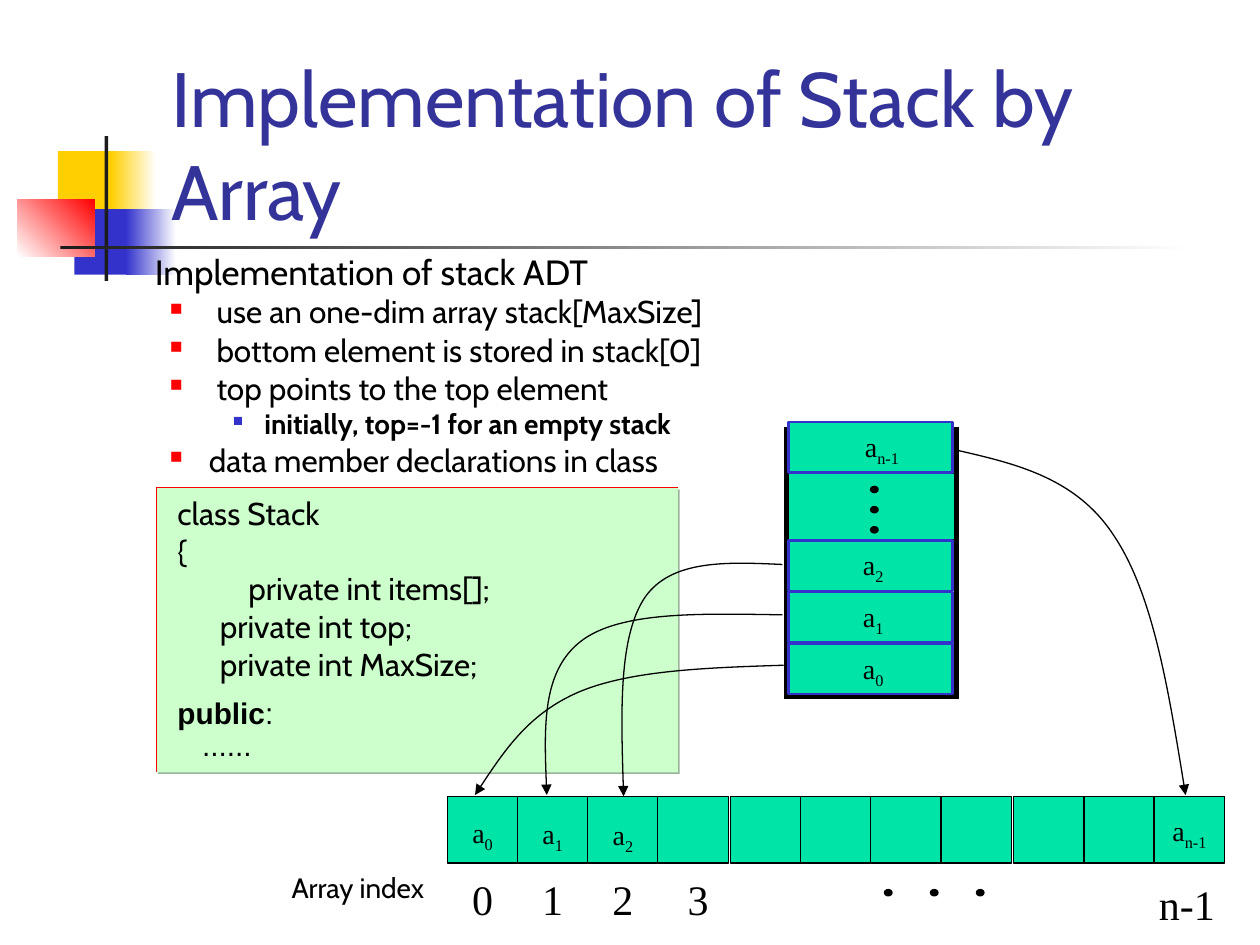
import dataclasses

import pptx
import pptx.dml.color
import pptx.enum.shapes
import pptx.enum.text
import pptx.oxml
import pptx.oxml.ns
import pptx.util
from lxml import etree
from pptx.util import Inches

ALIGN = pptx.enum.text.PP_ALIGN
SHAPE = pptx.enum.shapes.MSO_SHAPE
qn = pptx.oxml.ns.qn


@dataclasses.dataclass(frozen=True)
class Theme:
    sans: str = "Cabin"
    serif: str = "Times New Roman"
    code: str = "Arial"
    title: str = "333399"
    black: str = "000000"
    dark: str = "1C1C1C"
    white: str = "FFFFFF"
    yellow: str = "FFCF01"
    blue: str = "3333CC"
    red: str = "FF0000"
    cell: str = "00E4A8"
    panel: str = "CCFFCC"
    panel_shadow: str = "7A997A"
    title_size: int = 44
    index_size: int = 24
    heading_size: int = 20
    body_size: int = 18
    code_size: int = 17
    label_size: int = 16


THEME = Theme()


def rgb(value):
    return pptx.dml.color.RGBColor.from_string(value)


# Shared drawing helpers
def add_block(slide, left, top, width, height, fill, line=None, weight=0.75,
              kind=SHAPE.RECTANGLE, angle=0):
    """A filled shape; a pair of colours makes a gradient."""
    block = slide.shapes.add_shape(kind, Inches(left), Inches(top), Inches(width), Inches(height))
    block.shadow.inherit = False
    if isinstance(fill, tuple):
        block.fill.gradient()
        block.fill.gradient_angle = angle
        for stop, colour, position in zip(block.fill.gradient_stops, fill, (0, 1)):
            stop.color.rgb = rgb(colour)
            stop.position = position
    else:
        block.fill.solid()
        block.fill.fore_color.rgb = rgb(fill)
    if line:
        block.line.color.rgb = rgb(line)
        block.line.width = pptx.util.Pt(weight)
    else:
        block.line.fill.background()
    return block


def add_dot(slide, left, top):
    add_block(slide, left, top, 0.06, 0.05, THEME.black, THEME.black, kind=SHAPE.OVAL)


def add_rule(slide, start, end, colour, weight):
    rule = slide.shapes.add_connector(pptx.enum.shapes.MSO_CONNECTOR.STRAIGHT,
                                      *(Inches(n) for n in start + end))
    rule.line.color.rgb = rgb(colour)
    rule.line.width = pptx.util.Pt(weight)
    etree.SubElement(rule._element.spPr, qn("a:effectLst"))


def add_text_frame(slide, left, top, width, height, wrap=True):
    frame = slide.shapes.add_textbox(Inches(left), Inches(top), Inches(width), Inches(height)).text_frame
    frame.word_wrap = wrap
    return frame


def next_paragraph(frame, first):
    return frame.paragraphs[0] if first else frame.add_paragraph()


def add_run(paragraph, text, size, font=THEME.sans, colour=THEME.black, bold=False, subscript=False):
    run = paragraph.add_run()
    run.text = text
    run.font.size = pptx.util.Pt(size)
    run.font.name = font
    run.font.bold = bold
    run.font.color.rgb = rgb(colour)
    if subscript:
        run._r.get_or_add_rPr().set("baseline", "-25000")


def add_label(slide, centre, top, width, height, text, size, font=THEME.serif, subscript=None):
    frame = add_text_frame(slide, centre - width / 2, top, width, height, wrap=False)
    paragraph = frame.paragraphs[0]
    paragraph.alignment = ALIGN.CENTER
    add_run(paragraph, text, size, font)
    if subscript:
        add_run(paragraph, subscript, size, font, subscript=True)


def add_element_label(slide, centre, top, subscript):
    width = 0.4 if len(subscript) == 1 else 0.64
    add_label(slide, centre, top, width, 0.41, "a", THEME.label_size, subscript=subscript)


def set_bullet(paragraph, margin, indent, colour, percent):
    properties = paragraph._p.get_or_add_pPr()
    properties.set("marL", str(Inches(margin)))
    properties.set("indent", str(Inches(indent)))
    bullet_colour = etree.SubElement(properties, qn("a:buClr"))
    etree.SubElement(bullet_colour, qn("a:srgbClr"), val=colour)
    etree.SubElement(properties, qn("a:buSzPct"), val=str(percent * 1000))
    etree.SubElement(properties, qn("a:buChar"), char="■")


# Regions
def add_ornament(slide, left, top):
    t = THEME
    add_block(slide, left + 0.32, top + 0.12, 0.48, 0.52, t.yellow)
    add_block(slide, left + 0.74, top + 0.12, 0.36, 0.52, (t.yellow, t.white))
    add_block(slide, left + 0.45, top + 0.58, 0.46, 0.52, t.blue)
    add_block(slide, left + 0.86, top + 0.58, 0.4, 0.52, (t.blue, t.white))
    add_block(slide, left, top + 0.5, 0.61, 0.46, (t.white, t.red), angle=45)
    add_block(slide, left + 0.69, top, 0.03, 1.15, t.dark)
    add_block(slide, left + 0.34, top + 0.87, 9, 0.03, (t.dark, t.white))


def add_title(slide, left, top, width, height):
    frame = add_text_frame(slide, left, top, width, height)
    frame.vertical_anchor = pptx.enum.text.MSO_ANCHOR.BOTTOM
    add_run(frame.paragraphs[0], "Implementation of Stack by Array", THEME.title_size, colour=THEME.title)


def add_outline(slide, left, top, width, height):
    heading = (0.38, -0.38, THEME.blue, 60), THEME.heading_size, 5
    point = (0.87, -0.37, THEME.red, 55), THEME.body_size, 4.5
    last_point = (0.81, -0.31, THEME.red, 55), THEME.body_size, 4.5
    detail = (1.25, -0.25, THEME.blue, 50), THEME.label_size, 4
    items = [
        (heading, "Implementation of stack ADT"),
        (point, "use an one-dim array stack[MaxSize]"),
        (point, "bottom element is stored in stack[0]"),
        (point, "top points to the top element"),
        (detail, "initially, top=-1 for an empty stack"),
        (last_point, "data member declarations in class"),
    ]
    frame = add_text_frame(slide, left, top, width, height)
    for number, (style, text) in enumerate(items):
        bullet, size, space = style
        paragraph = next_paragraph(frame, number == 0)
        paragraph.line_spacing = 0.8
        paragraph.space_before = pptx.util.Pt(space if number else 0)
        set_bullet(paragraph, *bullet)
        add_run(paragraph, text, size, bold=style is detail)


def add_code_panel(slide, left, top, width, height):
    panel = add_block(slide, left, top, width, height, THEME.panel)
    effects = panel._element.spPr.find(qn("a:effectLst"))
    shadow = etree.SubElement(effects, qn("a:outerShdw"), blurRad="0",
                              dist=str(pptx.util.Pt(1.4)), dir="2700000")
    shadow_colour = etree.SubElement(shadow, qn("a:srgbClr"), val=THEME.panel_shadow)
    etree.SubElement(shadow_colour, qn("a:alpha"), val="75000")

    frame = add_text_frame(slide, left + 0.07, top, 3.24, 2.23)
    declarations = ["class Stack", "{", "private int items[];",
                    "      private int top;", "      private int MaxSize;"]
    for number, text in enumerate(declarations):
        paragraph = next_paragraph(frame, number == 0)
        paragraph.alignment = ALIGN.CENTER if "items" in text else ALIGN.LEFT
        add_run(paragraph, text, THEME.body_size)
    for runs, space in (([("public", True), (":", False)], 9), ([("   ......", False)], 0)):
        paragraph = frame.add_paragraph()
        paragraph.line_spacing = 0.9
        paragraph.space_before = pptx.util.Pt(space)
        for text, bold in runs:
            add_run(paragraph, text, THEME.code_size, THEME.code, bold=bold)

    add_rule(slide, (left, top), (left + width, top), THEME.red, 0.75)
    add_rule(slide, (left, top), (left, top + height), THEME.red, 0.75)


def add_stack(slide, left, top, width, height):
    right, bottom = left + width, top + height
    add_block(slide, left, top + 0.41, width, 0.52, THEME.cell, THEME.black)
    # Open-topped container
    for start, end in (((left, top + 0.04), (left, bottom)),
                       ((right, top + 0.04), (right, bottom)),
                       ((left, bottom - 0.02), (right, bottom - 0.02))):
        add_rule(slide, start, end, THEME.black, 3)
    for offset, subscript in ((0, "n-1"), (0.94, "2"), (1.35, "1"), (1.76, "0")):
        add_block(slide, left + 0.02, top + offset, 1.3, 0.4, THEME.cell, THEME.blue, 1.5)
        centre = left + (0.76 if subscript == "n-1" else 0.69)
        add_element_label(slide, centre, top + offset + 0.01, subscript)
    for step in range(3):
        add_dot(slide, left + 0.67, top + 0.51 + 0.16 * step)


def add_array(slide, left, top, width, height):
    count, cell, gap, group = 11, 0.56, 0.02, 4
    pitch = (width - cell - gap * ((count - 1) // group)) / (count - 1)
    centres = []
    for index in range(count):
        x = left + pitch * index + gap * (index // group)
        add_block(slide, x, top, cell, height, THEME.cell, THEME.black)
        centres.append(x + cell / 2)
    for index, subscript, drop in ((0, "0", 0.1), (1, "1", 0.11), (2, "2", 0.12), (10, "n-1", 0.09)):
        add_element_label(slide, centres[index], top + drop, subscript)
    # Index row
    add_label(slide, left - 0.71, top + 0.54, 1.44, 0.37, "Array index", THEME.label_size, THEME.sans)
    for index, text, shift, drop in ((0, "0", 0, 0.56), (1, "1", 0, 0.56), (2, "2", 0, 0.56),
                                     (3, "3", 0.04, 0.56), (10, "n-1", -0.02, 0.6)):
        add_label(slide, centres[index] + shift, top + drop, 0.84, 0.5, text, THEME.index_size)
    for step in range(3):
        add_dot(slide, left + 3.47 + 0.365 * step, top + 0.74)


def add_pointer(slide, left, top, points):
    """A curved arrow: a start, then three points for each Bezier segment."""
    start, *rest = [(Inches(left + x), Inches(top + y)) for x, y in points]
    builder = slide.shapes.build_freeform(*start)
    builder.add_line_segments(rest, close=False)
    pointer = builder.convert_to_shape()
    pointer.shadow.inherit = False
    pointer.fill.background()
    pointer.line.color.rgb = rgb(THEME.black)
    pointer.line.width = pptx.util.Pt(0.75)
    etree.SubElement(pointer.line._get_or_add_ln(), qn("a:tailEnd"), type="triangle")
    segments = list(pointer._element.iter(qn("a:lnTo")))
    for first in range(0, len(segments), 3):
        curve = etree.Element(qn("a:cubicBezTo"))
        segments[first].addprevious(curve)
        for segment in segments[first:first + 3]:
            curve.append(segment[0])
            segment.getparent().remove(segment)


def add_pointers(slide, left, top):
    for points in (
        [(2.45, 1.71), (1.84, 1.73), (1.24, 1.75), (0.83, 1.92), (0.43, 2.09), (0.21, 2.42), (0, 2.74)],
        [(2.44, 1.31), (1.79, 1.3), (1.15, 1.28), (0.84, 1.52), (0.53, 1.76), (0.55, 2.25), (0.57, 2.74)],
        [(2.44, 0.91), (2, 0.89), (1.56, 0.87), (1.35, 1.17), (1.14, 1.48), (1.16, 2.12), (1.18, 2.75)],
        [(3.81, 0), (4.29, 0.11), (4.77, 0.22), (5.07, 0.68), (5.38, 1.14), (5.51, 1.94), (5.64, 2.74)],
    ):
        add_pointer(slide, left, top, points)


def main():
    deck = pptx.Presentation()
    deck.slide_width, deck.slide_height = Inches(10), Inches(7.5)
    slide = deck.slides.add_slide(deck.slide_layouts[6])
    add_ornament(slide, 0.14, 1.08)
    add_title(slide, 1.26, 0.67, 8.52, 1.25)
    add_outline(slide, 0.75, 2, 8.42, 1.93)
    add_code_panel(slide, 1.24, 3.87, 4.14, 2.26)
    add_stack(slide, 6.24, 3.35, 1.35, 2.2)
    add_array(slide, 3.55, 6.32, 6.17, 0.53)
    add_pointers(slide, 3.77, 3.57)
    deck.save("out.pptx")


if __name__ == "__main__":
    main()
